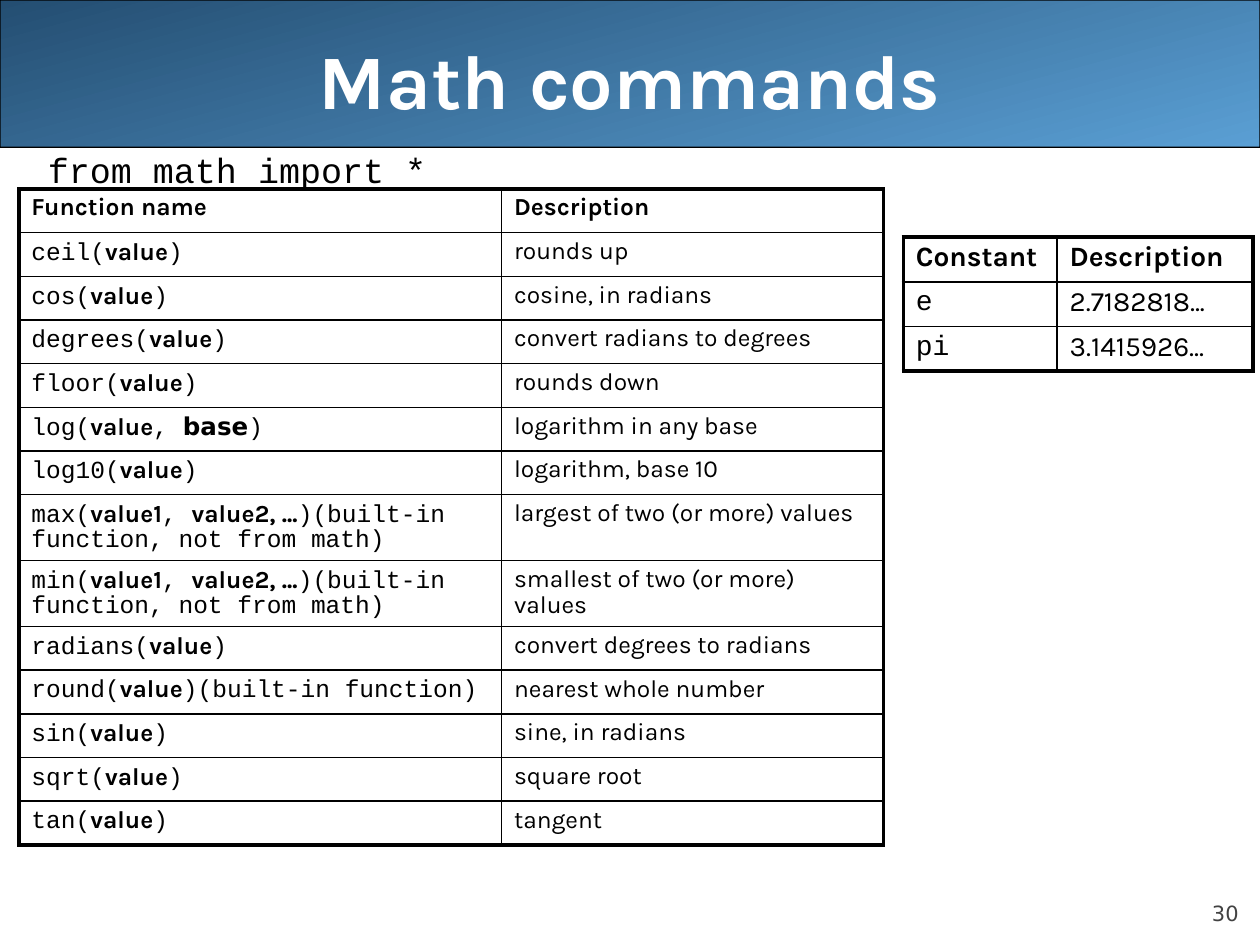
from lxml.etree import SubElement
from pptx import Presentation
from pptx.dml.color import RGBColor
from pptx.enum.shapes import MSO_SHAPE
from pptx.enum.text import MSO_ANCHOR, MSO_AUTO_SIZE, PP_ALIGN
from pptx.oxml.ns import qn
from pptx.util import Cm, Pt

SANS, MONO, FALLBACK = "Karla", "Courier New", "DejaVu Sans"
BLACK, WHITE, GREY = "000000", "FFFFFF", "424242"
THICK, THIN = Pt(2.25), Pt(1)

TITLE = "Math commands"
IMPORT_LINE = "from math import *"
PAGE_NUMBER = "30"

# Parameter names stand between bars.
FUNCTIONS = [
    ("Function name", "Description"),
    ("ceil(|value|)", "rounds up"),
    ("cos(|value|)", "cosine, in radians"),
    ("degrees(|value|)", "convert radians to degrees"),
    ("floor(|value|)", "rounds down"),
    ("log(|value|, |base|)", "logarithm in any base"),
    ("log10(|value|)", "logarithm, base 10"),
    ("max(|value1|, |value2, ...|)(built-in function, not from math)",
     "largest of two (or more) values"),
    ("min(|value1|, |value2, ...|)(built-in function, not from math)",
     "smallest of two (or more) values"),
    ("radians(|value|)", "convert degrees to radians"),
    ("round(|value|)(built-in function)", "nearest whole number"),
    ("sin(|value|)", "sine, in radians"),
    ("sqrt(|value|)", "square root"),
    ("tan(|value|)", "tangent"),
]
CONSTANTS = [
    ("Constant", "Description"),
    ("e", "2.7182818..."),
    ("pi", "3.1415926..."),
]


def color(value):
    return RGBColor.from_string(value)


def style(span, font, size, ink=BLACK, bold=False):
    span.font.name = font
    span.font.size = Pt(size)
    span.font.bold = bold
    span.font.color.rgb = color(ink)


def place(shape, left, top, width, height):
    shape.left, shape.top = Cm(left), Cm(top)
    shape.width, shape.height = Cm(width), Cm(height)


def space(para):
    """Set tight lines with a gap of 20% of the text size before them."""
    para.line_spacing = 0.9
    before = SubElement(para._p.get_or_add_pPr(), qn("a:spcBef"))
    SubElement(before, qn("a:spcPct"), val="20000")


def add_border(cell, side, width):
    line = SubElement(cell._tc.get_or_add_tcPr(), qn(f"a:ln{side}"), w=str(width))
    fill = SubElement(line, qn("a:solidFill"))
    SubElement(fill, qn("a:srgbClr"), val=BLACK)


def fill_cell(cell, text, size, header, code):
    para = cell.text_frame.paragraphs[0]
    space(para)
    for index, part in enumerate(text.split("|")):
        span = para.add_run()
        span.text = part
        parameter = index % 2 == 1
        if part == "base":
            font = FALLBACK
        else:
            font = MONO if code and not parameter else SANS
        style(span, font, size, bold=header or parameter)


def add_grid(slide, rows, left, top, widths, heights, size):
    """Add a table with a thick frame and thin inner lines."""
    frame = slide.shapes.add_table(len(rows), len(widths), Cm(left), Cm(top),
                                   Cm(sum(widths)), Cm(sum(heights)))
    table = frame.table
    table.first_row = table.horz_banding = False
    for column, width in zip(table.columns, widths):
        column.width = Cm(width)
    last_row, last_column = len(rows) - 1, len(widths) - 1
    for r, (texts, height) in enumerate(zip(rows, heights)):
        table.rows[r].height = Cm(height)
        for c, text in enumerate(texts):
            cell = table.cell(r, c)
            edges = {"L": c == 0, "R": c == last_column,
                     "T": r == 0, "B": r == last_row}
            for side, outer in edges.items():
                add_border(cell, side, THICK if outer else THIN)
            cell.fill.solid()
            cell.fill.fore_color.rgb = color(WHITE)
            fill_cell(cell, text, size, header=r == 0, code=r > 0 and c == 0)


def add_banner(slide):
    banner = slide.shapes.add_shape(MSO_SHAPE.ROUNDED_RECTANGLE, 0, 0, Cm(25.4), Cm(2.97))
    banner.adjustments[0] = 0.001
    banner.shadow.inherit = False
    banner.fill.gradient()
    banner.fill.gradient_angle = 285
    for stop, shade in zip(banner.fill.gradient_stops, ("244E72", "5A9FD4")):
        stop.color.rgb = color(shade)
    banner.line.color.rgb = color(BLACK)
    banner.line.width = Pt(0.75)
    slide.shapes._spTree.insert(2, banner._element)


def add_title(slide):
    title = slide.shapes.title
    place(title, 1.27, 0, 22.86, 3.18)
    title.text_frame.text = TITLE
    title.text_frame.auto_size = MSO_AUTO_SIZE.NONE
    title.text_frame.vertical_anchor = MSO_ANCHOR.MIDDLE
    para = title.text_frame.paragraphs[0]
    para.alignment = PP_ALIGN.CENTER
    style(para.runs[0], SANS, 44, WHITE, bold=True)


def add_import_line(slide):
    body = slide.placeholders[1]
    place(body, 0.71, 2.97, 24.13, 13.77)
    body.text_frame.text = IMPORT_LINE
    body.text_frame.auto_size = MSO_AUTO_SIZE.NONE
    para = body.text_frame.paragraphs[0]
    space(para)
    properties = para._p.get_or_add_pPr()
    properties.set("marL", str(Cm(0.95)))
    properties.set("indent", str(Cm(-0.95)))
    SubElement(properties, qn("a:buNone"))
    style(para.runs[0], MONO, 20)


def add_page_number(slide):
    box = slide.shapes.add_textbox(Cm(22.86), Cm(17.65), Cm(2.11), Cm(1.02))
    text = box.text_frame
    text.margin_left = text.margin_right = text.margin_top = text.margin_bottom = 0
    text.word_wrap = True
    text.vertical_anchor = MSO_ANCHOR.BOTTOM
    text.text = PAGE_NUMBER
    para = text.paragraphs[0]
    para.alignment = PP_ALIGN.RIGHT
    para.space_before = Pt(5)
    style(para.runs[0], FALLBACK, 12, GREY)


def main():
    deck = Presentation()
    deck.slide_width, deck.slide_height = Cm(25.4), Cm(19.05)
    slide = deck.slides.add_slide(deck.slide_layouts[1])
    add_banner(slide)
    add_title(slide)
    add_import_line(slide)
    heights = [1.33 if "not from math" in name else 0.88 for name, _ in FUNCTIONS]
    add_grid(slide, FUNCTIONS, 0.38, 3.81, (9.73, 7.7), heights, 14)
    add_grid(slide, CONSTANTS, 18.21, 4.78, (3.1, 3.95), [0.9] * len(CONSTANTS), 16)
    add_page_number(slide)
    deck.save("out.pptx")


if __name__ == "__main__":
    main()
